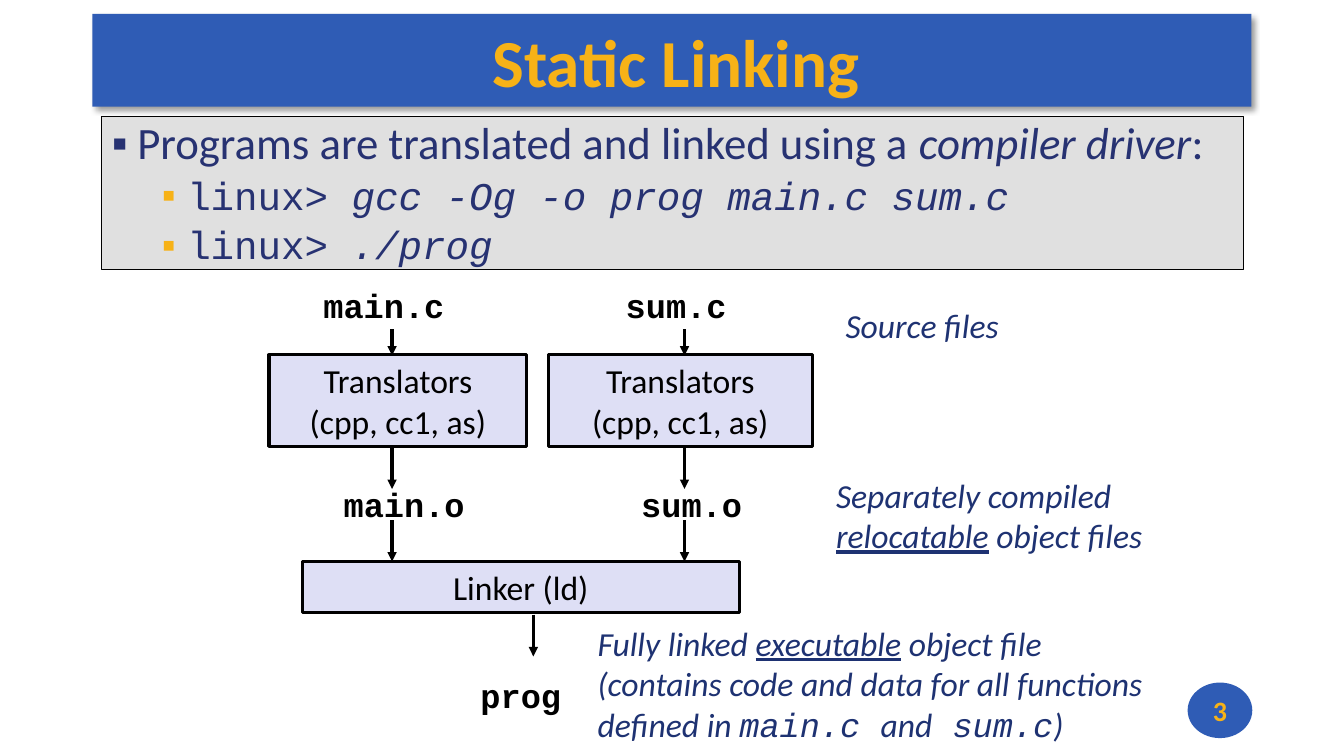
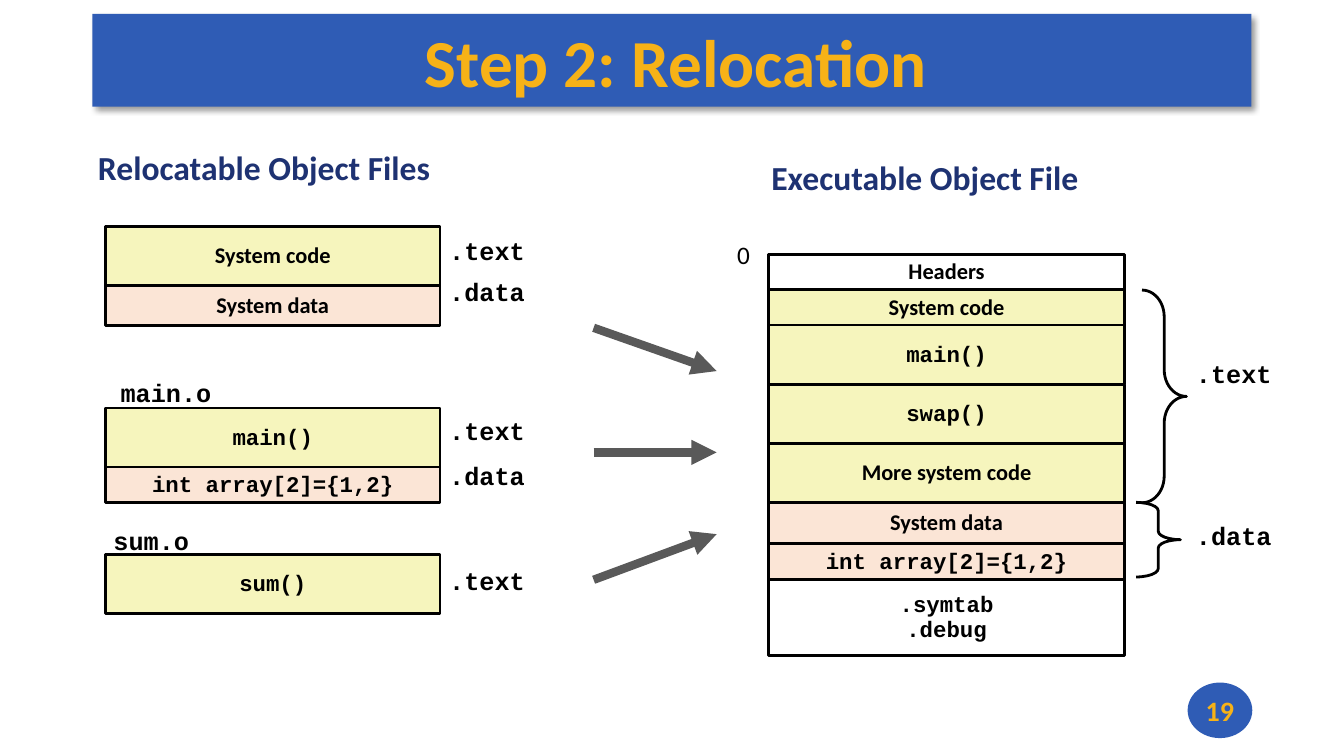
from lxml import etree
from pptx import Presentation
from pptx.dml.color import RGBColor
from pptx.enum.shapes import MSO_CONNECTOR, MSO_SHAPE
from pptx.enum.text import MSO_ANCHOR, PP_ALIGN
from pptx.oxml.ns import qn
from pptx.util import Cm, Pt

RECTANGLE = MSO_SHAPE.RECTANGLE
OVAL = MSO_SHAPE.OVAL
RIGHT_BRACE = MSO_SHAPE.RIGHT_BRACE
STRAIGHT = MSO_CONNECTOR.STRAIGHT
TOP = MSO_ANCHOR.TOP
MIDDLE = MSO_ANCHOR.MIDDLE
LEFT = PP_ALIGN.LEFT
CENTER = PP_ALIGN.CENTER

BLUE = RGBColor(0x2F, 0x5C, 0xB5)
GOLD = RGBColor(0xF7, 0xB2, 0x17)
NAVY = RGBColor(0x1E, 0x32, 0x72)
BODY_NAVY = RGBColor(0x27, 0x32, 0x72)
BLACK = RGBColor(0x00, 0x00, 0x00)
WHITE = RGBColor(0xFF, 0xFF, 0xFF)
GRAY = RGBColor(0xE0, 0xE0, 0xE0)
DARK_GRAY = RGBColor(0x59, 0x59, 0x59)
LAVENDER = RGBColor(0xDE, 0xDF, 0xF5)
YELLOW = RGBColor(0xF6, 0xF5, 0xBD)
PEACH = RGBColor(0xFB, 0xE5, 0xD6)

SANS = "Calibri"
MONO = "Courier New"
BULLET_FONT = "Arial"
MONO_SPACING = 0.94
SANS_SPACING = 0.98


def add_box(slide, place, paragraphs, size, color=BLACK, fill=None, line=0,
            align=CENTER, spacing=1.0, kind=RECTANGLE):
    place = [Cm(length) for length in place]
    if fill is None:
        shape = slide.shapes.add_textbox(*place)
    else:
        shape = slide.shapes.add_shape(kind, *place)
        shape.shadow.inherit = False
        shape.fill.solid()
        shape.fill.fore_color.rgb = fill
        if line:
            shape.line.color.rgb = BLACK
            shape.line.width = Pt(line)
        else:
            shape.line.fill.background()
    frame = shape.text_frame
    frame.word_wrap = False
    frame.vertical_anchor = TOP if fill is None else MIDDLE
    for index, runs in enumerate(paragraphs):
        paragraph = frame.add_paragraph() if index else frame.paragraphs[0]
        paragraph.alignment = align
        paragraph.line_spacing = spacing
        for text, style in runs:
            run = paragraph.add_run()
            run.text = text
            run.font.name = MONO if "m" in style else SANS
            run.font.size = Pt(size)
            run.font.color.rgb = color
            run.font.bold = "b" in style
            run.font.italic = "i" in style
            run.font.underline = "u" in style
    return shape


def add_arrow(slide, start, end, color=BLACK, width=2.25):
    arrow = slide.shapes.add_connector(
        STRAIGHT, *[Cm(length) for length in start + end])
    arrow.line.color.rgb = color
    arrow.line.width = Pt(width)
    properties = arrow._element.spPr
    etree.SubElement(properties.find(qn("a:ln")), qn("a:tailEnd"), type="triangle")
    etree.SubElement(properties, qn("a:effectLst"))


presentation = Presentation()
presentation.slide_width = Cm(33.87)
presentation.slide_height = Cm(19.05)

slides = []
for title, number in [("Static Linking", "3"), ("Step 2: Relocation", "19")]:
    slide = presentation.slides.add_slide(presentation.slide_layouts[6])
    band = add_box(slide, (2.33, 0.35, 29.21, 2.34), [[(title, "b")]], 48, GOLD, BLUE)
    band.text_frame.margin_left = Cm(0.2)
    band.text_frame.margin_right = Cm(0)
    effects = band._element.spPr.find(qn("a:effectLst"))
    shadow = etree.SubElement(
        effects, qn("a:outerShdw"), blurRad=str(Pt(4)), dist=str(Pt(3)),
        dir="2700000", algn="tl", rotWithShape="0")
    shadow_color = etree.SubElement(shadow, qn("a:srgbClr"), val="000000")
    etree.SubElement(shadow_color, qn("a:alpha"), val="40000")
    add_box(slide, (29.93, 17.2, 1.63, 1.4), [[(number, "b")]], 20, GOLD, BLUE, kind=OVAL)
    slides.append(slide)

linking, relocation = slides

body = add_box(linking, (2.57, 2.93, 28.78, 3.86), [
    [("Programs are translated and linked using a ", ""),
     ("compiler driver", "i"), (":", "")],
    [("linux> ", "m"), ("gcc -Og -o prog main.c sum.c", "mi")],
    [("linux> ", "m"), ("./prog", "mi")],
], 32, BODY_NAVY, GRAY, 0.75, LEFT, 0.9)
body.text_frame.word_wrap = True
body.text_frame.vertical_anchor = TOP
for index, paragraph in enumerate(body.text_frame.paragraphs):
    properties = paragraph._p.get_or_add_pPr()
    properties.set("marL", str(Cm(1.9 if index else 0.64)))
    properties.set("indent", str(-Cm(0.64)))
    if index:
        paragraph.level = 1
        paragraph.space_before = Pt(5)
        for run in paragraph.runs:
            run.font.size = Pt(28)
    bullet_color = etree.SubElement(properties, qn("a:buClr"))
    etree.SubElement(bullet_color, qn("a:srgbClr"), val=str(GOLD if index else BODY_NAVY))
    etree.SubElement(properties, qn("a:buFont"), typeface=BULLET_FONT)
    etree.SubElement(properties, qn("a:buChar"), char="▪")

add_box(linking, (7.62, 14.15, 11.01, 1.28), [[("Linker (ld)", "")]],
        24, fill=LAVENDER, line=2.25)
for left, width, arrow_left in [(6.78, 6.5, 9.88), (13.82, 6.65, 17.25)]:
    add_box(linking, (left, 8.94, width, 2.31),
            [[("Translators", "")], [("(cpp, cc1, as)", "")]],
            24, fill=LAVENDER, line=2.25)
    for start, end in [(8.3, 8.96), (11.25, 12.32), (13.11, 14.15)]:
        add_arrow(linking, (arrow_left, start), (arrow_left, end))
add_arrow(linking, (13.44, 15.49), (13.44, 16.54))

for name, left, top, width in [
    ("main.c", 7.9, 7.05, 3.58),
    ("sum.c", 15.52, 7.05, 3.07),
    ("main.o", 8.41, 12.07, 3.58),
    ("sum.o", 15.91, 12.07, 3.07),
    ("prog", 11.86, 16.87, 2.57),
]:
    add_box(linking, (left, top, width, 1.27), [[(name, "mb")]], 24, align=LEFT)

for place, paragraphs in [
    ((21.06, 7.56, 4.42, 1.27), [[("Source files", "i")]]),
    ((20.82, 11.84, 8.33, 2.31), [
        [("Separately compiled", "i")],
        [("relocatable", "iu"), (" object files", "i")],
    ]),
    ((14.81, 15.57, 14.4, 3.33), [
        [("Fully linked ", "i"), ("executable", "iu"), (" object file", "i")],
        [("(contains code and data for all functions", "i")],
        [("defined in ", "i"), ("main.c ", "mi"), ("and", "i"),
         (" sum.c", "mi"), (")", "i")],
    ]),
]:
    add_box(linking, place, paragraphs, 24, NAVY, align=LEFT)

for heading, left, top, width in [
    ("Relocatable Object Files", 2.22, 3.63, 8.97),
    ("Executable Object File", 19.19, 3.89, 8.33),
]:
    add_box(relocation, (left, top, width, 1.27), [[(heading, "b")]], 24, NAVY,
            align=LEFT, spacing=SANS_SPACING)

system_code = (["System code"], "b", YELLOW)
system_data = (["System data"], "b", PEACH)
main_code = (["main()"], "mb", YELLOW)
array_data = (["int array[2]={1,2}"], "mb", PEACH)
for left, top, width, sections in [
    (2.66, 5.7, 8.43, [(1.49, system_code), (1.02, system_data)]),
    (2.66, 10.28, 8.43, [(1.49, main_code), (0.89, array_data)]),
    (2.66, 13.97, 8.43, [(1.49, (["sum()"], "mb", YELLOW))]),
    (19.37, 6.41, 8.97, [
        (0.89, (["Headers"], "b", WHITE)),
        (0.89, system_code),
        (1.49, main_code),
        (1.49, (["swap()"], "mb", YELLOW)),
        (1.49, (["More system code"], "b", YELLOW)),
        (1.04, system_data),
        (0.91, array_data),
        (1.91, ([".symtab", ".debug"], "mb", WHITE)),
    ]),
]:
    for height, (lines, style, fill) in sections:
        add_box(relocation, (left, top, width, height),
                [[(text, style)] for text in lines], 16, fill=fill, line=2,
                spacing=MONO_SPACING if "m" in style else SANS_SPACING)
        top += height

for label, left, top, width in [
    ("main.o", 2.79, 9.44, 2.79),
    ("sum.o", 2.61, 13.18, 2.41),
    (".text", 11.07, 5.87, 2.41),
    (".data", 11.07, 6.9, 2.41),
    (".text", 11.07, 10.41, 2.41),
    (".data", 11.07, 11.53, 2.41),
    (".text", 11.07, 14.19, 2.41),
    (".text", 29.89, 8.97, 2.41),
    (".data", 29.89, 13.06, 2.41),
]:
    add_box(relocation, (left, top, width, 0.99), [[(label, "mb")]], 18,
            align=LEFT, spacing=MONO_SPACING)
add_box(relocation, (18.33, 5.94, 0.84, 1.02), [[("0", "")]], 18,
        align=LEFT, spacing=SANS_SPACING)

for left, top, height, curve in [(28.78, 7.31, 5.36, 0.6), (28.63, 12.66, 1.88, 0.19)]:
    brace = relocation.shapes.add_shape(
        RIGHT_BRACE, Cm(left), Cm(top), Cm(1.12), Cm(height))
    brace.shadow.inherit = False
    brace.fill.background()
    brace.line.color.rgb = BLACK
    brace.line.width = Pt(2)
    brace.adjustments[0] = curve

for start, end in [(8.26, 9.35), (11.4, 11.4), (14.61, 13.46)]:
    add_arrow(relocation, (14.96, start), (18.06, end), DARK_GRAY, 6)

presentation.save("out.pptx")
